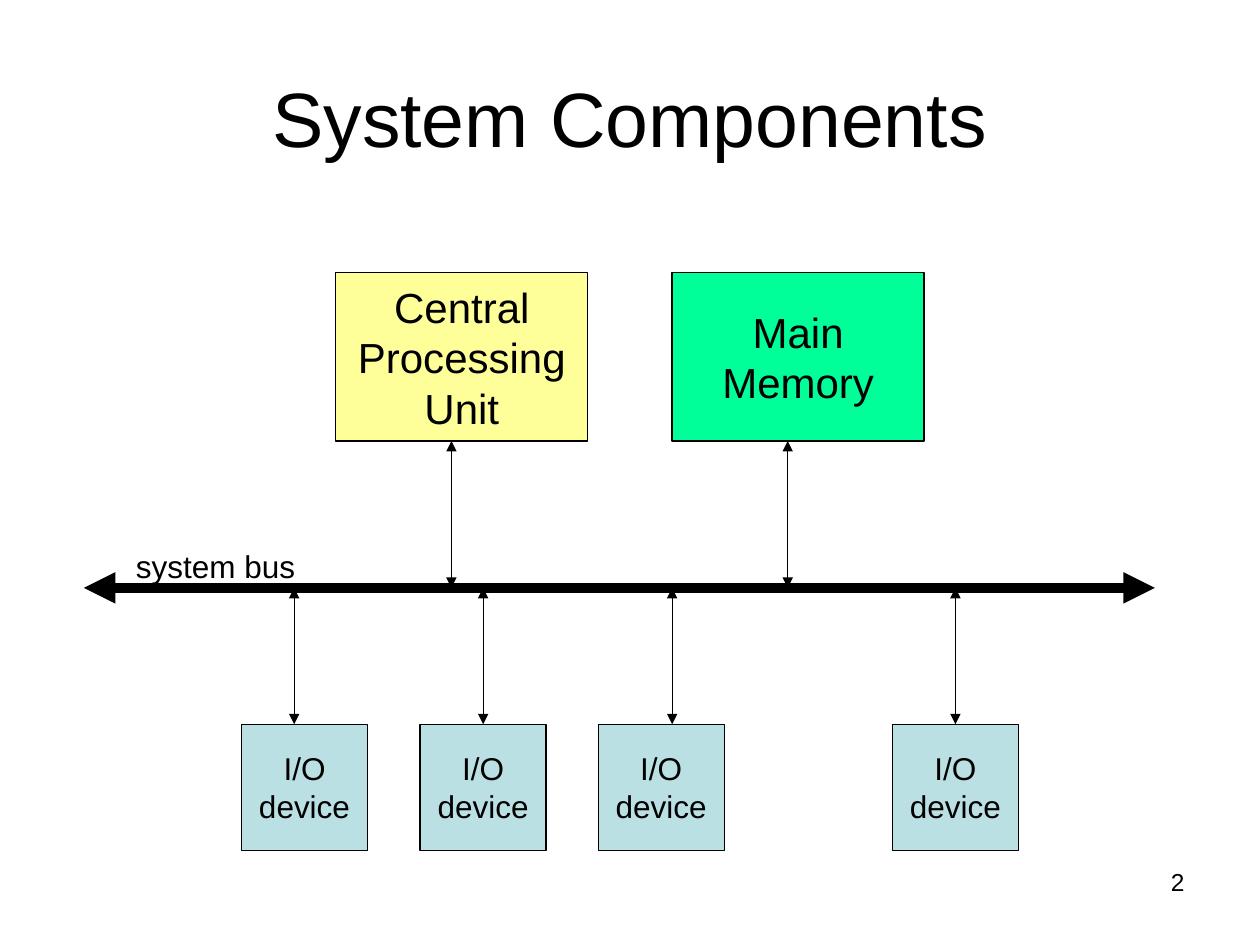
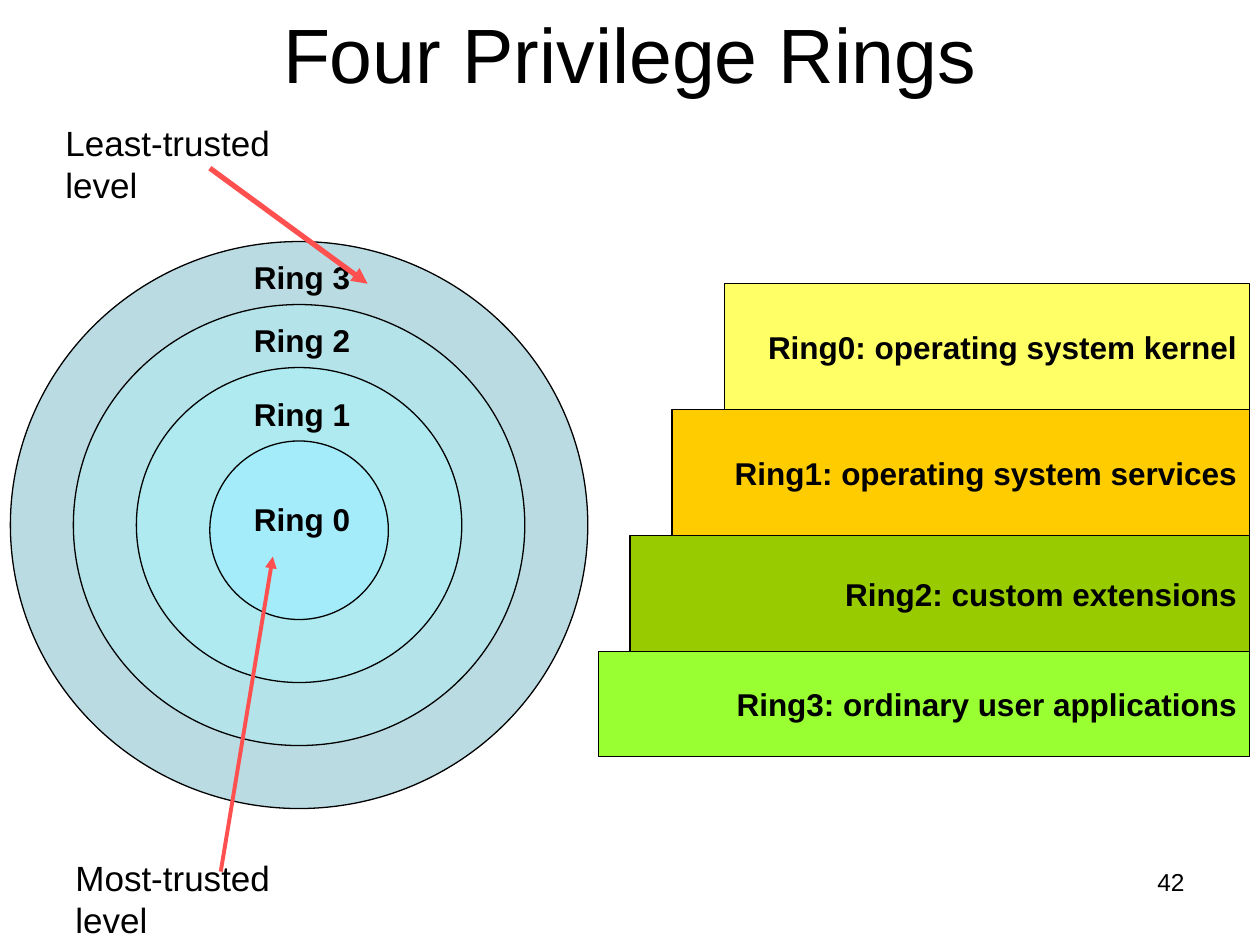
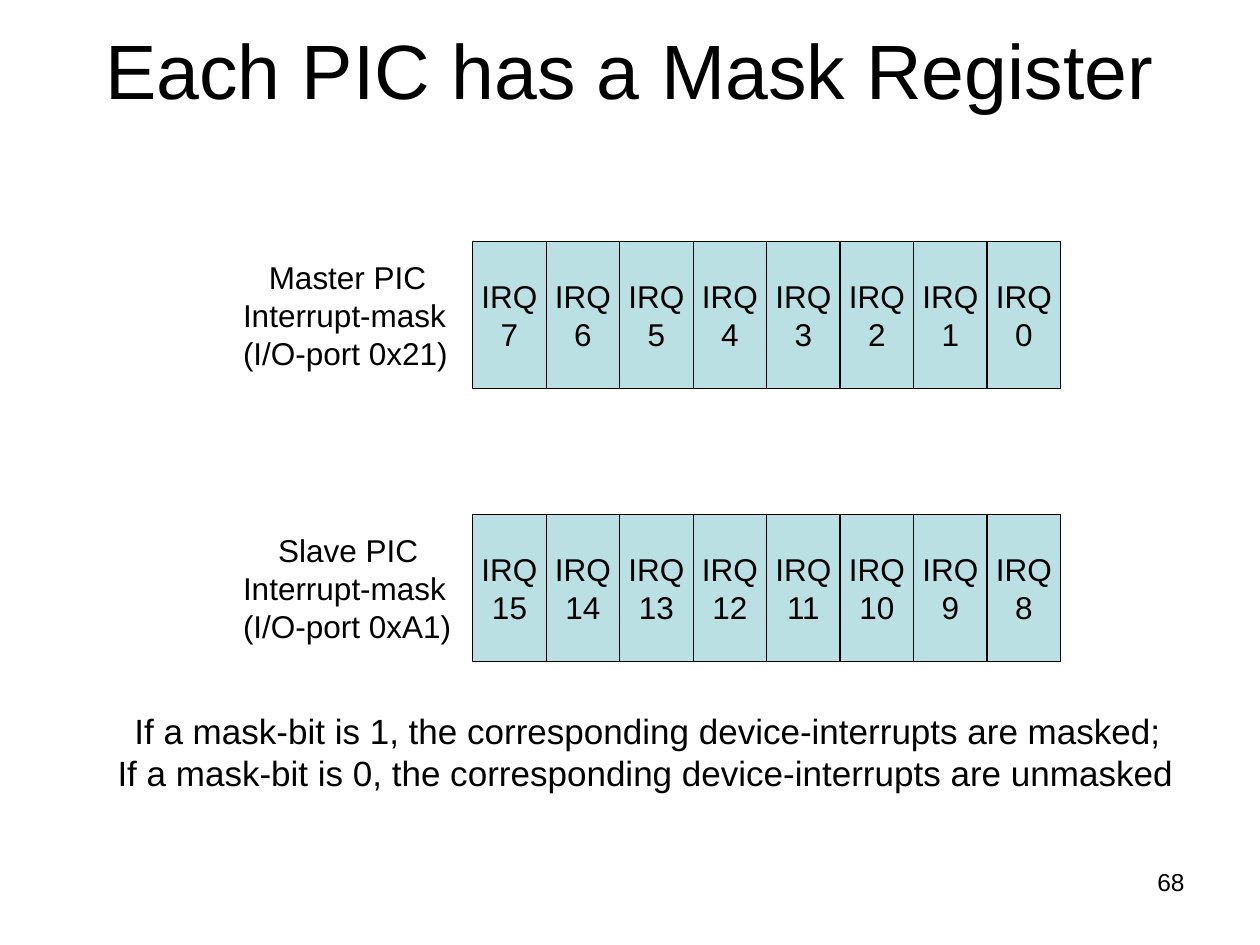
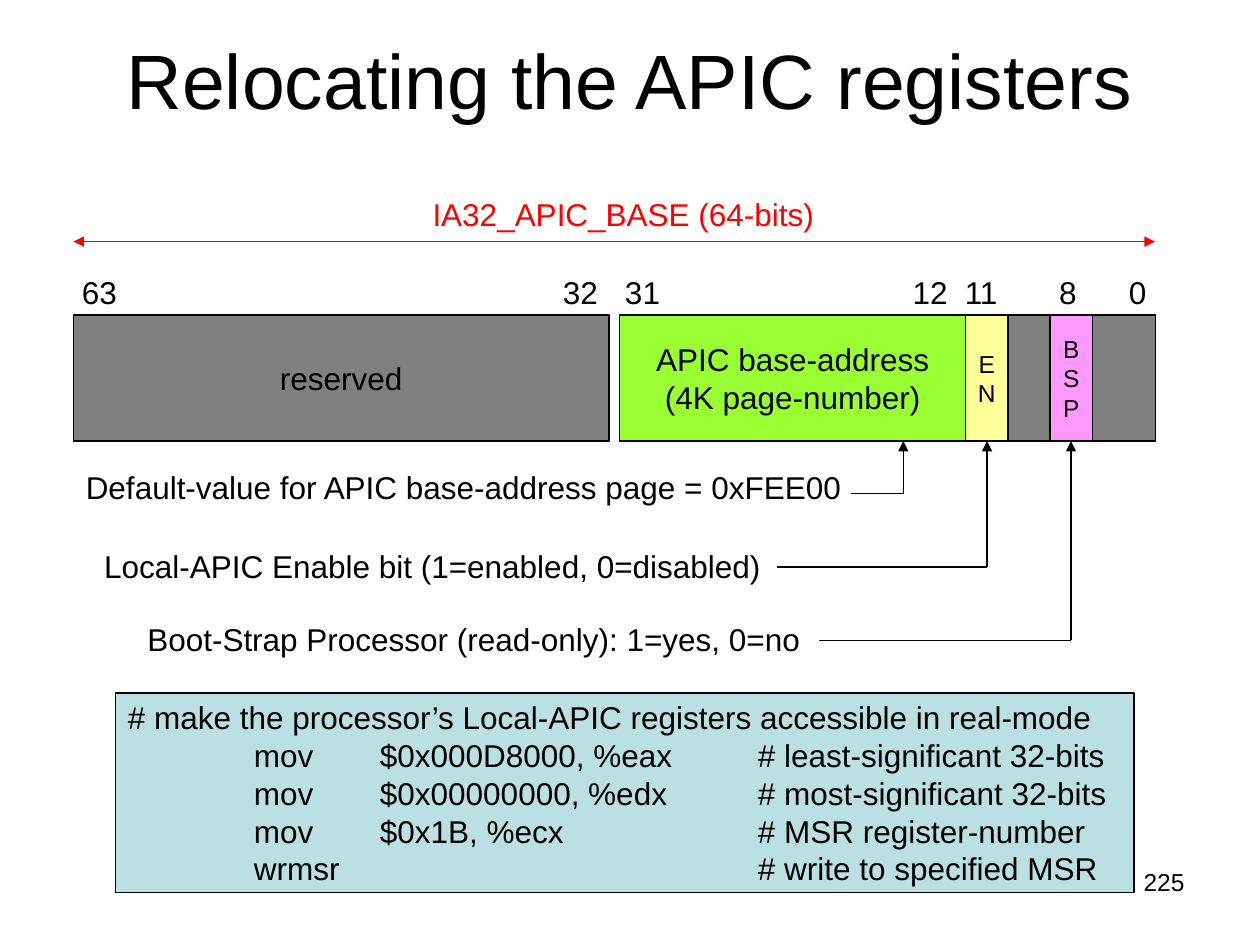
import pptx
import pptx.util
import pptx.dml.color
import pptx.enum.shapes
import pptx.enum.text
from lxml import etree

Cm, Pt = pptx.util.Cm, pptx.util.Pt
ALIGN = pptx.enum.text.PP_ALIGN
ANCHOR = pptx.enum.text.MSO_ANCHOR
SHAPE = pptx.enum.shapes.MSO_SHAPE
STRAIGHT = pptx.enum.shapes.MSO_CONNECTOR.STRAIGHT
DRAWING = "http://schemas.openxmlformats.org/drawingml/2006/main"

# ---- Shared look ----
FONT = "Arial"
BLACK, RED, CORAL = "000000", "FF0000", "FF5050"
PALE_BLUE, PALE_YELLOW, LIME, GREY, PINK = "BBE0E3", "FFFF99", "99FF33", "808080", "FF99FF"
LABEL_HEIGHT = 1.02

# ---- Content (positions in cm) ----
# Slide 1: text, colour, left, arrow x
UNITS = [
    ("Central\nProcessing\nUnit", PALE_YELLOW, 6.77, 9.1),
    ("Main\nMemory", "00FF99", 13.55, 15.88),
]
DEVICES = [(4.87, 5.93), (8.47, 9.74), (12.06, 13.55), (17.99, 19.26)]  # left, arrow x

# Slide 2: name, colour, (left, top, width, height), label top
RINGS = [
    ("Ring 3", "BBDBE3", (0.21, 4.87, 11.64, 11.43), 5.08),
    ("Ring 2", "B4E4EA", (1.48, 6.14, 9.1, 8.89), 6.35),
    ("Ring 1", "AEEAF0", (2.75, 7.41, 6.56, 6.35), 7.83),
    ("Ring 0", "A4ECFA", (4.23, 8.89, 3.6, 3.6), 9.95),
]
# text, left, top, arrow start, arrow end, arrow weight
TRUST_LEVELS = [
    ("Most-trusted level", 1.27, 17.15, (4.45, 17.57), (5.5, 11.22), 2.25),
    ("Least-trusted level", 1.07, 2.33, (4.23, 3.39), (7.41, 5.72), 3),
]
# text, colour, width, height
RING_ROLES = [
    ("Ring0: operating system kernel", "FFFF66", 10.58, 2.54),
    ("Ring1: operating system services", "FFCC00", 11.64, 2.54),
    ("Ring2: custom extensions", "99CC00", 12.49, 2.33),
    ("Ring3: ordinary user applications", LIME, 13.12, 2.12),
]

# Slide 3: label, first-line indent, highest IRQ, top
MASKS = [
    ("Master PIC\nInterrupt-mask\n(I/O-port 0x21)", 0.52, 7, 4.87),
    ("Slave PIC\nInterrupt-mask\n(I/O-port 0xA1)", 0.71, 15, 10.37),
]
MASK_RULE = (
    "If a mask-bit is 1, the corresponding device-interrupts are masked;\n"
    "If a mask-bit is 0, the corresponding device-interrupts are unmasked"
)

# Slide 4: text, colour, width, text size
LOW_FIELDS = [
    ("APIC base-address\n(4K page-number)", LIME, 6.98, 18),
    ("E\nN", PALE_YELLOW, 0.85, 14),
    ("", GREY, 0.85, 14),
    ("B\nS\nP", PINK, 0.85, 14),
    ("", GREY, 1.27, 14),
]
BIT_NUMBERS = "63\t32\t31\t12\t11\t8\t0"
BIT_TABS = (9.7, 10.95, 16.75, 17.8, 19.7, 21.11)
# text, left, top, width, line start x, line y, field x
FIELD_NOTES = [
    ("Default-value for APIC base-address page = 0xFEE00", 1.48, 9.32, 15.77, 17.15, 9.95, 18.21),
    ("Local-APIC Enable bit (1=enabled, 0=disabled)", 1.85, 10.9, 13.74, 15.67, 11.43, 19.9),
    ("Boot-Strap Processor (read-only): 1=yes, 0=no", 2.72, 12.37, 13.67, 16.51, 12.91, 21.59),
]
CODE = (
    "# make the processor’s Local-APIC registers accessible in real-mode\n"
    "\tmov\t$0x000D8000, %eax\t# least-significant 32-bits\n"
    "\tmov\t$0x00000000, %edx\t# most-significant 32-bits\n"
    "\tmov\t$0x1B, %ecx\t# MSR register-number\n"
    "\twrmsr\t\t# write to specified MSR"
)
CODE_TABS = (2.54, 5.08, 12.7)


# ---- Helpers ----
def rgb(value):
    return pptx.dml.color.RGBColor.from_string(value)


def add_xml(parent, tag, **attributes):
    return etree.SubElement(parent, f"{{{DRAWING}}}{tag}", **attributes)


def write(frame, text, size=18, color=BLACK, bold=False, align=ALIGN.LEFT,
          anchor=ANCHOR.TOP, wrap=False, tabs=(), indent=0):
    """Fill a frame, one paragraph a line; indent shifts the first line only."""
    frame.word_wrap = wrap
    frame.vertical_anchor = anchor
    for number, line in enumerate(text.split("\n")):
        paragraph = frame.add_paragraph() if number else frame.paragraphs[0]
        paragraph.text = line
        paragraph.alignment = align
        properties = paragraph._p.get_or_add_pPr()
        if indent and number == 0:
            properties.set("marL", str(Cm(indent)))
        if tabs:
            tab_list = add_xml(properties, "tabLst")
            for position in tabs:
                add_xml(tab_list, "tab", pos=str(Cm(position)), algn="l")
        font = paragraph.font
        font.name, font.size, font.bold = FONT, Pt(size), bold
        font.color.rgb = rgb(color)


def add_label(slide, text, left, top, width, height=LABEL_HEIGHT, **style):
    box = slide.shapes.add_textbox(Cm(left), Cm(top), Cm(width), Cm(height))
    write(box.text_frame, text, **style)


def add_block(slide, text, fill, left, top, width, height, kind=SHAPE.RECTANGLE,
              align=ALIGN.CENTER, **style):
    block = slide.shapes.add_shape(kind, Cm(left), Cm(top), Cm(width), Cm(height))
    block.shadow.inherit = False
    block.fill.solid()
    block.fill.fore_color.rgb = rgb(fill)
    block.line.color.rgb = rgb(BLACK)
    block.line.width = Pt(0.75)
    if text:
        write(block.text_frame, text, align=align, anchor=ANCHOR.MIDDLE, **style)


def add_line(slide, start, end, color=BLACK, weight=0.75, heads=("headEnd", "tailEnd")):
    line = slide.shapes.add_connector(STRAIGHT, *(Cm(v) for v in (*start, *end)))
    line.line.color.rgb = rgb(color)
    line.line.width = Pt(weight)
    for head in heads:
        add_xml(line.line._get_or_add_ln(), head, type="triangle")
    add_xml(line._element.spPr, "effectLst")


def add_slide(deck, title, number, top, height=3.18):
    slide = deck.slides.add_slide(deck.slide_layouts[6])
    add_label(slide, title, 1.27, top, 22.86, height, size=44,
              align=ALIGN.CENTER, anchor=ANCHOR.MIDDLE, wrap=True)
    add_label(slide, str(number), 18.2, 17.36, 5.93, 1.32, size=14,
              align=ALIGN.RIGHT, wrap=True)
    return slide


# ---- Slides ----
def build_components(deck):
    slide = add_slide(deck, "System Components", 2, 0.76)
    unit_top, unit_height, bus_y, device_top = 5.5, 3.39, 11.85, 14.6
    add_line(slide, (1.69, bus_y), (23.28, bus_y), weight=6)
    add_label(slide, "system bus", 2.49, 10.9, 3.73)
    for text, color, left, arrow_x in UNITS:
        add_block(slide, text, color, left, unit_top, 5.08, unit_height, size=24)
        add_line(slide, (arrow_x, unit_top + unit_height), (arrow_x, bus_y))
    for left, arrow_x in DEVICES:
        add_block(slide, "I/O\ndevice", PALE_BLUE, left, device_top, 2.54, 2.54)
        add_line(slide, (arrow_x, bus_y), (arrow_x, device_top))


def build_rings(deck):
    slide = add_slide(deck, "Four Privilege Rings", 42, -0.21, 2.54)
    for name, color, bounds, label_top in RINGS:
        add_block(slide, "", color, *bounds, kind=SHAPE.OVAL)
        add_label(slide, name, 4.87, label_top, 2.46, bold=True)
    for text, left, top, start, end, weight in TRUST_LEVELS:
        add_label(slide, text, left, top, 5.2, 1.95, size=20, wrap=True)
        add_line(slide, start, end, CORAL, weight, heads=["tailEnd"])
    right, top = 25.19, 5.72
    for text, color, width, height in RING_ROLES:
        add_block(slide, text, color, right - width, top, width, height,
                  align=ALIGN.RIGHT, bold=True, wrap=True)
        top += height


def build_masks(deck):
    slide = add_slide(deck, "Each PIC has a Mask Register", 68, -0.21)
    register_left, bit_width = 9.53, 11.85 / 8
    for label, indent, highest, top in MASKS:
        for column in range(8):
            add_block(slide, f"IRQ\n{highest - column}", PALE_BLUE,
                      register_left + column * bit_width, top, bit_width, 2.96)
        add_label(slide, label, 4.65, top + 0.21, 4.7, 2.54, indent=indent)
    add_label(slide, MASK_RULE, 2.12, 14.18, 21.92, 1.95, size=20, indent=0.34)


def build_relocation(deck):
    slide = add_slide(deck, "Relocating the APIC registers", 225, 0)
    top, height = 6.35, 2.54
    # Register with its bit numbers
    add_line(slide, (1.48, 4.87), (23.28, 4.87), RED)
    add_label(slide, "IA32_APIC_BASE (64-bits)", 8.47, 3.81, 8.2, color=RED)
    add_label(slide, BIT_NUMBERS, 1.4, 5.38, 22.5, tabs=BIT_TABS, wrap=True)
    add_block(slide, "reserved", GREY, 1.48, top, 10.8, height)
    left = 12.49
    for text, color, width, size in LOW_FIELDS:
        add_block(slide, text, color, left, top, width, height, size=size)
        left += width
    # Notes that point up at the fields
    for text, note_left, note_top, width, start_x, line_y, field_x in FIELD_NOTES:
        add_label(slide, text, note_left, note_top, width)
        add_line(slide, (start_x, line_y), (field_x, line_y), heads=[])
        add_line(slide, (field_x, line_y), (field_x, top + height), heads=["tailEnd"])
    add_block(slide, CODE, PALE_BLUE, 2.33, 13.97, 20.53, 4.02,
              align=ALIGN.LEFT, tabs=CODE_TABS, wrap=True)


def main():
    deck = pptx.Presentation()
    deck.slide_width, deck.slide_height = Cm(25.4), Cm(19.05)
    build_components(deck)
    build_rings(deck)
    build_masks(deck)
    build_relocation(deck)
    deck.save("out.pptx")


if __name__ == "__main__":
    main()
